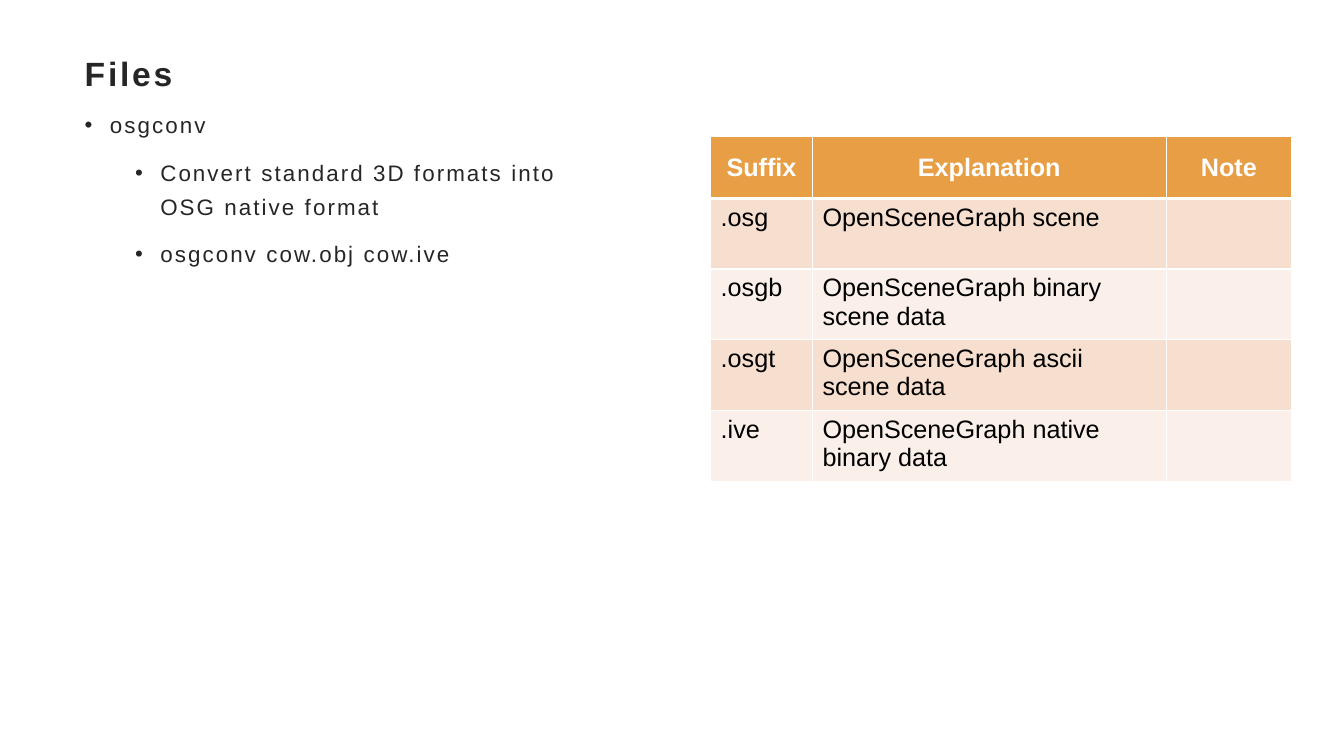
import pptx
import pptx.dml.color
import pptx.enum.text
import pptx.oxml
import pptx.oxml.ns
import pptx.util
from lxml import etree

Pt = pptx.util.Pt
ANCHOR = pptx.enum.text.MSO_ANCHOR
ALIGN = pptx.enum.text.PP_ALIGN

# Content
TITLE = "Files"
BULLETS = [
    (0, "osgconv"),
    (1, "Convert standard 3D formats into OSG native format"),
    (1, "osgconv cow.obj cow.ive"),
]
TABLE_ROWS = [
    ("Suffix", "Explanation", "Note"),
    (".osg", "OpenSceneGraph scene", ""),
    (".osgb", "OpenSceneGraph binary scene data", ""),
    (".osgt", "OpenSceneGraph ascii scene data", ""),
    (".ive", "OpenSceneGraph native binary data", ""),
]

# Style and layout, in points
FONT = "Arial"
DARK, WHITE, BLACK = "262626", "FFFFFF", "000000"
HEADER_FILL = "E79E45"
BAND_FILLS = ("FAF0E9", "F6DFCF")
TITLE_BOX = (52.56, 34.56, 854.64, 34.56)
BODY_BOX = (52.56, 74.88, 379.44, 424.08)
TABLE_LEFT, TABLE_TOP = 507.6, 97.7
COLUMN_WIDTHS = (72.72, 252.72, 89.5)
HEADER_HEIGHT, ROW_HEIGHT = 44, 50.5
BULLET_HANG, LEVEL_STEP = 18, 36


def color(value):
    return pptx.dml.color.RGBColor.from_string(value)


def add_run(paragraph, text, size, text_color, bold=False, spacing=0):
    run = paragraph.add_run()
    run.text = text
    run.font.name = FONT
    run.font.size = Pt(size)
    run.font.bold = bold
    run.font.color.rgb = color(text_color)
    if spacing:
        run.font._element.set("spc", str(round(spacing * 100)))


def add_text_frame(slide, box, margins, anchor):
    frame = slide.shapes.add_textbox(*map(Pt, box)).text_frame
    frame.word_wrap = True
    frame.vertical_anchor = anchor
    (frame.margin_left, frame.margin_top,
     frame.margin_right, frame.margin_bottom) = map(Pt, margins)
    return frame


def add_bullet(paragraph, level):
    properties = paragraph._p.get_or_add_pPr()
    properties.set("marL", str(Pt(BULLET_HANG + LEVEL_STEP * level)))
    properties.set("indent", str(-Pt(BULLET_HANG)))
    for tag, name, value in (("a:buFont", "typeface", FONT), ("a:buChar", "char", "•")):
        etree.SubElement(properties, pptx.oxml.ns.qn(tag)).set(name, value)


def set_borders(cell, bottom_width):
    properties = cell._tc.get_or_add_tcPr()
    for side, width in (("L", 1), ("R", 1), ("T", 1), ("B", bottom_width)):
        properties.append(pptx.oxml.parse_xml(
            f'<a:ln{side} {pptx.oxml.ns.nsdecls("a")} w="{Pt(width)}"><a:solidFill>'
            f'<a:srgbClr val="{WHITE}"/></a:solidFill></a:ln{side}>'))


def fill_cell(cell, text, is_header, fill):
    set_borders(cell, 3 if is_header else 1)
    cell.fill.solid()
    cell.fill.fore_color.rgb = color(fill)
    paragraph = cell.text_frame.paragraphs[0]
    if is_header:
        cell.vertical_anchor = ANCHOR.MIDDLE
        paragraph.alignment = ALIGN.CENTER
    if text:
        add_run(paragraph, text, 18, WHITE if is_header else BLACK, is_header)


def main():
    presentation = pptx.Presentation()
    presentation.slide_width, presentation.slide_height = Pt(960), Pt(540)
    slide = presentation.slides.add_slide(presentation.slide_layouts[6])

    # Title
    frame = add_text_frame(slide, TITLE_BOX, (8, 3, 6, 3), ANCHOR.MIDDLE)
    add_run(frame.paragraphs[0], TITLE, 24, DARK, True, 2)

    # Bullet list
    frame = add_text_frame(slide, BODY_BOX, (8, 0, 6.5, 0), ANCHOR.TOP)
    for index, (level, text) in enumerate(BULLETS):
        paragraph = frame.add_paragraph() if index else frame.paragraphs[0]
        paragraph.level = level
        paragraph.line_spacing = 1.25
        paragraph.space_after = Pt(10)
        add_bullet(paragraph, level)
        add_run(paragraph, text, 16, DARK, spacing=1.5)

    # Suffix table
    heights = [HEADER_HEIGHT] + [ROW_HEIGHT] * (len(TABLE_ROWS) - 1)
    table = slide.shapes.add_table(
        len(TABLE_ROWS), len(COLUMN_WIDTHS), Pt(TABLE_LEFT), Pt(TABLE_TOP),
        Pt(sum(COLUMN_WIDTHS)), Pt(sum(heights))).table
    for column, width in zip(table.columns, COLUMN_WIDTHS):
        column.width = Pt(width)
    for index, (row, height, texts) in enumerate(zip(table.rows, heights, TABLE_ROWS)):
        row.height = Pt(height)
        fill = BAND_FILLS[index % 2] if index else HEADER_FILL
        for cell, text in zip(row.cells, texts):
            fill_cell(cell, text, index == 0, fill)

    presentation.save("out.pptx")


if __name__ == "__main__":
    main()
